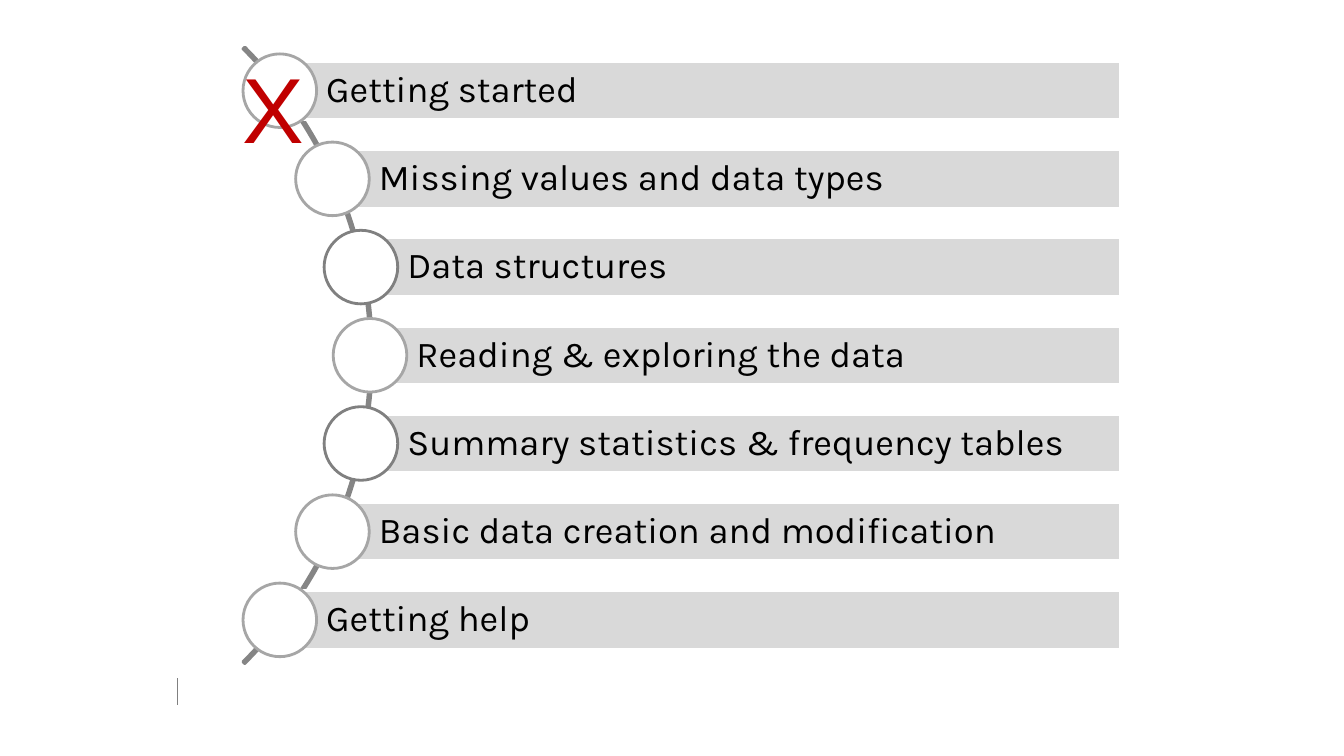
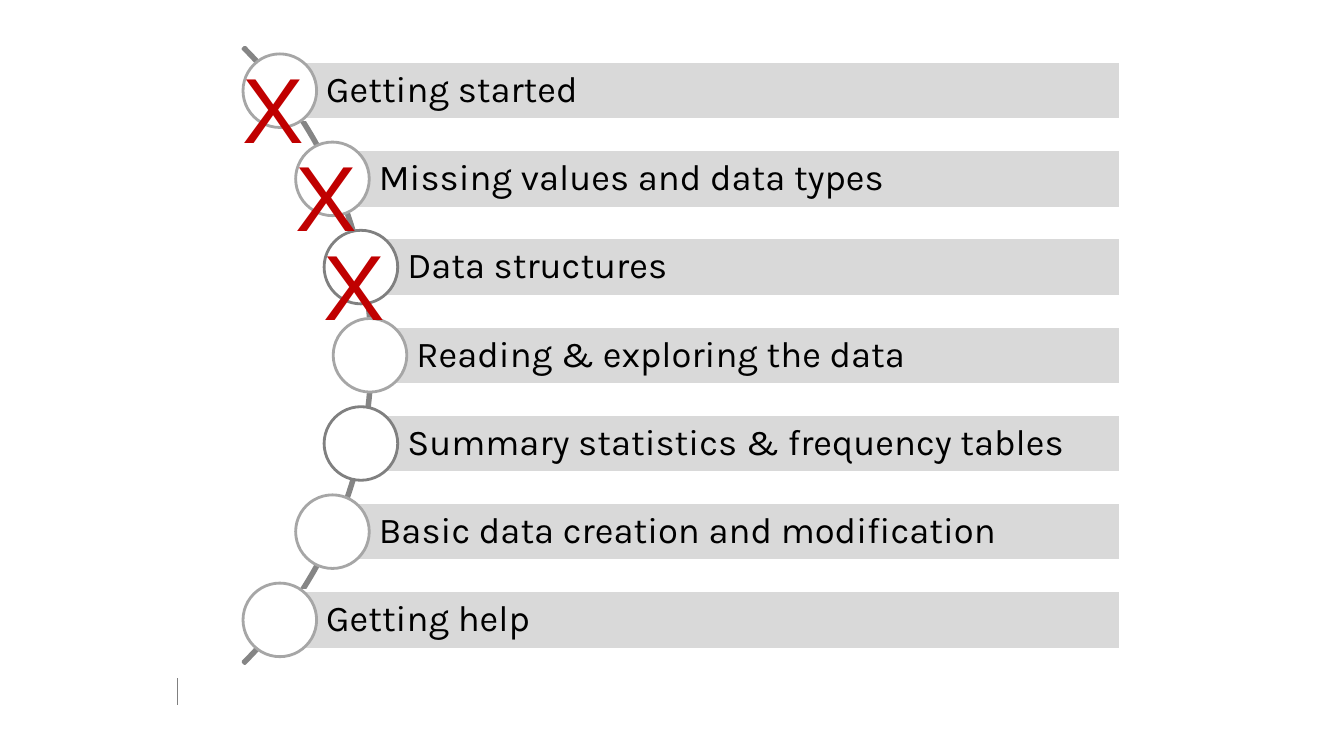
from dataclasses import dataclass
from math import sqrt

from lxml.etree import SubElement
from pptx import Presentation
from pptx.dml.color import RGBColor
from pptx.enum.shapes import MSO_CONNECTOR as Connector, MSO_SHAPE as Preset
from pptx.enum.text import MSO_ANCHOR as Anchor, MSO_AUTO_SIZE as AutoSize, PP_ALIGN as Align
from pptx.oxml.ns import qn
from pptx.shapes.autoshape import Shape
from pptx.slide import Slide
from pptx.text.text import TextFrame
from pptx.util import Inches, Pt

WHITE = RGBColor(0xFF, 0xFF, 0xFF)
BLACK = RGBColor(0x00, 0x00, 0x00)
BAR_GREY = RGBColor(0xD9, 0xD9, 0xD9)
RING_LIGHT = RGBColor(0xA6, 0xA6, 0xA6)
RING_DARK = RGBColor(0x80, 0x80, 0x80)
ARC_GREY = RGBColor(0x85, 0x85, 0x85)
MARK_RED = RGBColor(0xC0, 0x00, 0x00)

TOPIC_FONT = "Karla"
MARK_FONT = "Arial"

# Inches
SLIDE_WIDTH, SLIDE_HEIGHT = 13.33, 7.5
FIRST_ROW, LAST_ROW = 0.9, 6.15
ARC_X, ARC_Y = -0.63, (FIRST_ROW + LAST_ROW) / 2
ARC_SIZE = 8.65
RING_ORBIT = 4.3
RING_SIZE = 0.73
BAR_RIGHT, BAR_HEIGHT = 11.11, 0.58
BAR_INSET, BAR_MARGIN = 0.46, 0.07
MARK_WIDTH, MARK_HEIGHT = 0.86, 1.21
MARK_SHIFT_X, MARK_SHIFT_Y = -0.47, -0.44
TICK_X, TICK_TOP, TICK_BOTTOM = 1.76, 6.73, 6.99


@dataclass(frozen=True)
class Topic:
    title: str
    ring: RGBColor = RING_LIGHT


TOPICS = (
    Topic("Getting started"),
    Topic("Missing values and data types"),
    Topic("Data structures", RING_DARK),
    Topic("Reading & exploring the data"),
    Topic("Summary statistics & frequency tables", RING_DARK),
    Topic("Basic data creation and modification"),
    Topic("Getting help"),
)
DONE_PER_SLIDE = (1, 3)


def row_centre(row: int) -> tuple[float, float]:
    """Place a row's ring centre on the arc."""
    y = FIRST_ROW + row * (LAST_ROW - FIRST_ROW) / (len(TOPICS) - 1)
    return ARC_X + sqrt(RING_ORBIT**2 - (y - ARC_Y) ** 2), y


def add_preset(page: Slide, preset: Preset, left: float, top: float, width: float,
               height: float, line: RGBColor, fill: RGBColor | None = None) -> Shape:
    shape = page.shapes.add_shape(
        preset, Inches(left), Inches(top), Inches(width), Inches(height))
    shape.shadow.inherit = False
    if fill is None:
        shape.fill.background()
    else:
        shape.fill.solid()
        shape.fill.fore_color.rgb = fill
    shape.line.color.rgb = line
    shape.line.width = Pt(2)
    return shape


def write(frame: TextFrame, text: str, font: str, size: int, color: RGBColor) -> None:
    para = frame.paragraphs[0]
    para.alignment = Align.LEFT
    span = para.add_run()
    span.text = text
    span.font.name = font
    span.font.size = Pt(size)
    span.font.color.rgb = color


def add_footer_tick(page: Slide) -> None:
    tick = page.shapes.add_connector(
        Connector.STRAIGHT, Inches(TICK_X), Inches(TICK_TOP),
        Inches(TICK_X), Inches(TICK_BOTTOM))
    tick.line.color.rgb = RING_DARK
    tick.line.width = Pt(0.25)
    SubElement(tick._element.spPr, qn("a:effectLst"))


def add_arc(page: Slide) -> None:
    arc = add_preset(page, Preset.BLOCK_ARC, ARC_X - ARC_SIZE / 2,
                     ARC_Y - ARC_SIZE / 2, ARC_SIZE, ARC_SIZE, ARC_GREY)
    for index, value in enumerate((189, 27, 0.003)):
        arc.adjustments[index] = value


def add_topic(page: Slide, row: int, topic: Topic) -> None:
    x, y = row_centre(row)
    bar = add_preset(page, Preset.RECTANGLE, x, y - BAR_HEIGHT / 2,
                     BAR_RIGHT - x, BAR_HEIGHT, WHITE, BAR_GREY)
    frame = bar.text_frame
    frame.word_wrap = True
    frame.vertical_anchor = Anchor.MIDDLE
    frame.margin_left = Inches(BAR_INSET)
    frame.margin_top = frame.margin_right = frame.margin_bottom = Inches(BAR_MARGIN)
    frame.paragraphs[0].line_spacing = 0.9
    write(frame, topic.title, TOPIC_FONT, 26, BLACK)
    add_preset(page, Preset.OVAL, x - RING_SIZE / 2, y - RING_SIZE / 2,
               RING_SIZE, RING_SIZE, topic.ring, WHITE)


def add_done_mark(page: Slide, row: int) -> None:
    x, y = row_centre(row)
    box = page.shapes.add_textbox(
        Inches(x + MARK_SHIFT_X), Inches(y + MARK_SHIFT_Y),
        Inches(MARK_WIDTH), Inches(MARK_HEIGHT))
    frame = box.text_frame
    frame.word_wrap = False
    frame.auto_size = AutoSize.SHAPE_TO_FIT_TEXT
    frame.paragraphs[0].space_before = Pt(6)
    write(frame, "X", MARK_FONT, 66, MARK_RED)


def add_agenda(deck: Presentation, done: int) -> None:
    """Add the agenda page with its first topics crossed off."""
    page = deck.slides.add_slide(deck.slide_layouts[6])
    add_footer_tick(page)
    add_arc(page)
    for row, topic in enumerate(TOPICS):
        add_topic(page, row, topic)
    for row in range(done):
        add_done_mark(page, row)


def main() -> None:
    deck = Presentation()
    deck.slide_width = Inches(SLIDE_WIDTH)
    deck.slide_height = Inches(SLIDE_HEIGHT)
    for done in DONE_PER_SLIDE:
        add_agenda(deck, done)
    deck.save("out.pptx")


if __name__ == "__main__":
    main()
